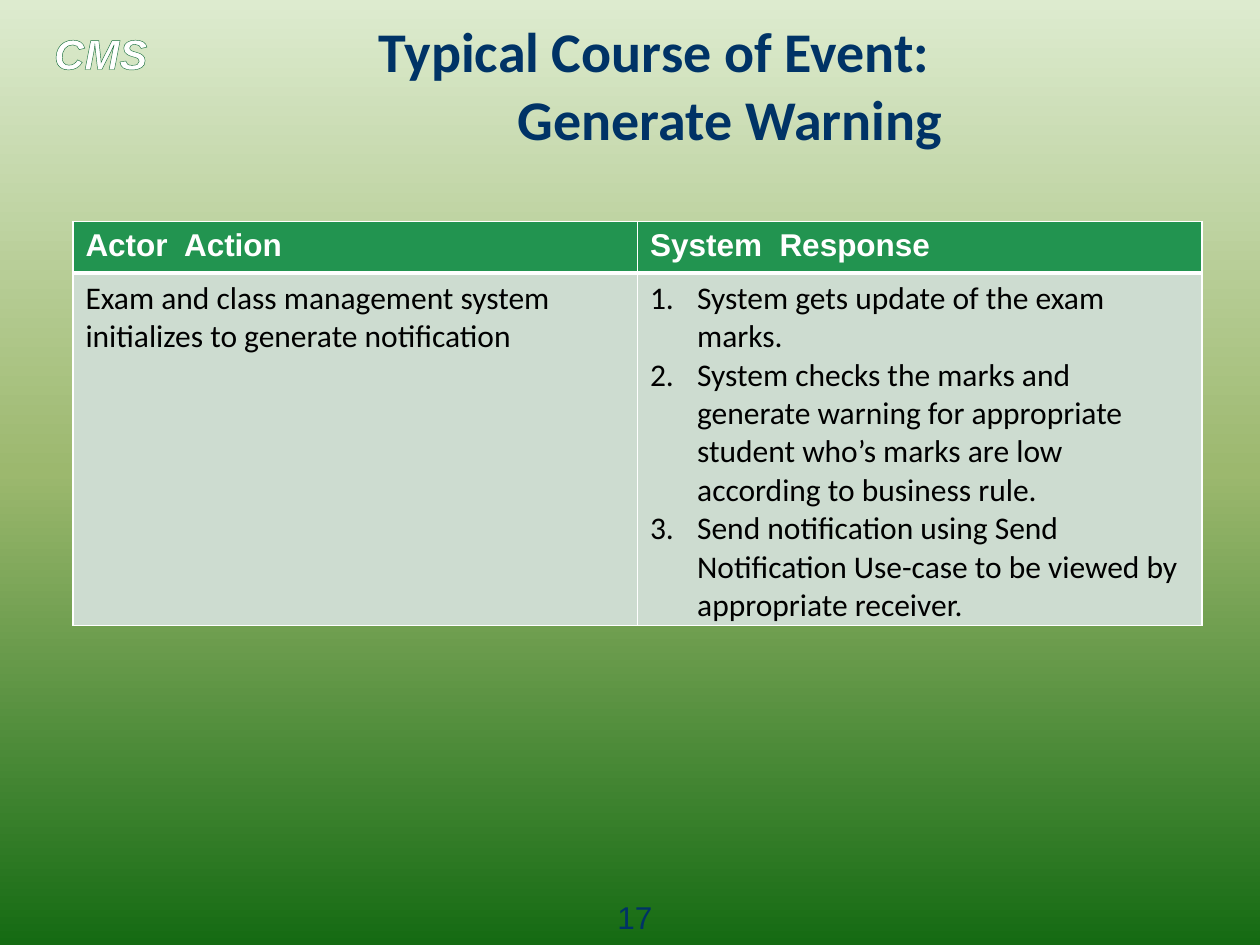
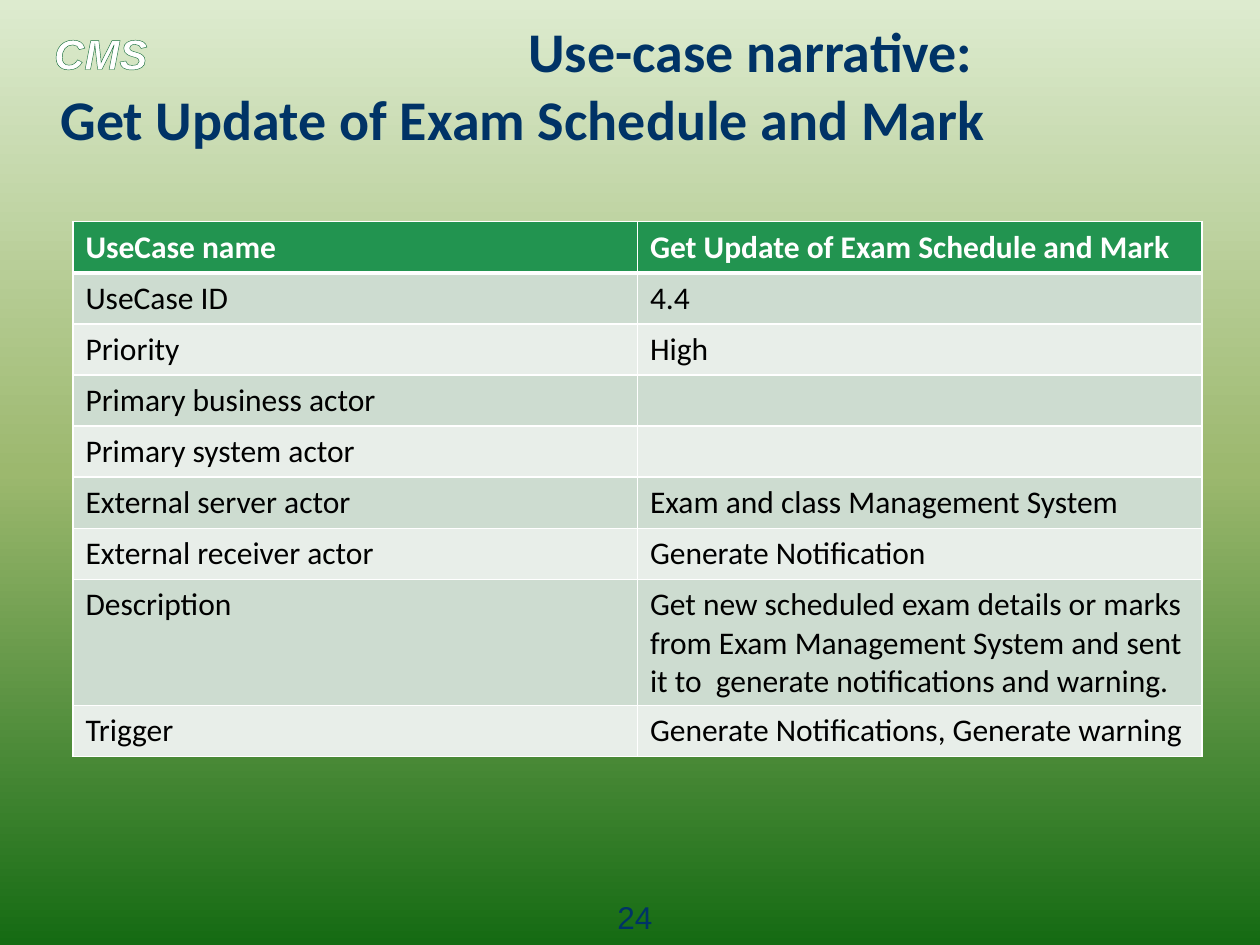
"""Build two use-case slides of a class management system deck."""
from copy import deepcopy
from dataclasses import dataclass

from lxml import etree
from pptx import Presentation
from pptx import util as u
from pptx.dml.color import RGBColor
from pptx.enum import text
from pptx.oxml import ns

COLOURS = {
    "sky": "DDEBCF", "moss": "9CB86E", "forest": "156B13",
    "navy": "003366", "white": "FFFFFF", "black": "000000",
    "outline": "196F3C", "header": "229450",
    "odd": "CDDCD0", "even": "E8EEE9",
}
ROW_HEIGHT = u.Cm(1.03)
COLUMN_WIDTH = u.Cm(11.38)
NUMBER_INDENT = u.Cm(0.95)


@dataclass
class Style:
    size: int
    colour: str
    font: str = "Calibri"
    bold: bool = False
    italic: bool = False


@dataclass
class Box:
    left: float
    top: float
    width: float
    height: float


@dataclass
class UseCase:
    title: str
    title_box: Box
    header_font: str
    rows: list[tuple[str, str | list[str]]]
    table_height: float
    page: int


BRAND = Style(24, "white", "Arial", bold=True, italic=True)
TITLE = Style(32, "navy", bold=True)
PAGE = Style(18, "navy", "Arial")
BODY = Style(18, "black")

USE_CASES = [
    UseCase(
        "Typical Course of Event: \vGenerate Warning",
        Box(1.47, 1.7, 17.78, 1.35),
        "Arial",
        [
            ("Actor  Action", "System  Response"),
            ("Exam and class management system initializes to generate notification", [
                "System gets update of the exam marks.",
                "System checks the marks and generate warning for appropriate "
                "student who’s marks are low according to business rule.",
                "Send notification using Send Notification Use-case to be viewed "
                "by appropriate receiver.",
            ]),
        ],
        8.15,
        17,
    ),
    UseCase(
        "Use-case narrative: \vGet Update of Exam Schedule and Mark",
        Box(0.43, 1.7, 19.69, 1.35),
        "Calibri",
        [
            ("UseCase name", "Get Update of Exam Schedule and Mark"),
            ("UseCase ID", "4.4"),
            ("Priority", "High"),
            ("Primary business actor", ""),
            ("Primary system actor", ""),
            ("External server actor", "Exam and class Management System"),
            ("External receiver actor", "Generate Notification"),
            ("Description",
             "Get new scheduled exam details or marks from Exam Management System "
             "and sent it to  generate notifications and warning."),
            ("Trigger", "Generate Notifications, Generate warning"),
        ],
        10.77,
        24,
    ),
]


def rgb(name: str) -> RGBColor:
    return RGBColor.from_string(COLOURS[name])


def apply_style(paragraph, style: Style) -> None:
    font = paragraph.font
    font.name, font.size = style.font, u.Pt(style.size)
    font.bold, font.italic = style.bold, style.italic
    font.color.rgb = rgb(style.colour)


def make_line(tag: str, colour: str, points: float):
    line = etree.Element(ns.qn(tag), w=str(u.Pt(points)))
    fill = etree.SubElement(line, ns.qn("a:solidFill"))
    etree.SubElement(fill, ns.qn("a:srgbClr"), val=COLOURS[colour])
    return line


def add_label(slide, box: Box, words: str, style: Style, align: text.PP_ALIGN):
    label = slide.shapes.add_textbox(
        u.Cm(box.left), u.Cm(box.top), u.Cm(box.width), u.Cm(box.height))
    label.text_frame.word_wrap = True
    paragraph = label.text_frame.paragraphs[0]
    paragraph.text = words
    paragraph.alignment = align
    apply_style(paragraph, style)
    return label.text_frame


def paint_background(slide) -> None:
    fill = slide.background.fill
    fill.gradient()
    fill.gradient_angle = 270
    stop_list = slide.element.find(f".//{ns.qn('a:gsLst')}")
    stop_list.insert(1, deepcopy(stop_list[0]))
    for stop, position, name in zip(
            fill.gradient_stops, (0, 0.5, 1), ("sky", "moss", "forest")):
        stop.position = position
        stop.color.rgb = rgb(name)


def add_brand(slide) -> None:
    brand = add_label(slide, Box(0.84, 0.43, 3.81, 1.27), "CMS", BRAND,
                      text.PP_ALIGN.LEFT)
    brand.auto_size = text.MSO_AUTO_SIZE.SHAPE_TO_FIT_TEXT
    properties = brand.paragraphs[0].runs[0].font._element
    properties.insert(0, make_line("a:ln", "outline", 1))


def number_paragraph(paragraph) -> None:
    properties = paragraph._p.get_or_add_pPr()
    properties.set("marL", str(NUMBER_INDENT))
    properties.set("indent", str(-NUMBER_INDENT))
    numbering = etree.Element(ns.qn("a:buAutoNum"), type="arabicPeriod")
    properties.insert(0, numbering)


def fill_cell(cell, content: str | list[str], style: Style, row: int) -> None:
    numbered = isinstance(content, list)
    cell.text = "\n".join(content) if numbered else content
    for paragraph in cell.text_frame.paragraphs:
        apply_style(paragraph, style)
        if numbered:
            number_paragraph(paragraph)
    top, bottom = (3 if row == 1 else 1), (3 if row == 0 else 1)
    properties = cell._tc.get_or_add_tcPr()
    for side, points in zip("LRTB", (1, 1, top, bottom)):
        properties.append(make_line(f"a:ln{side}", "white", points))
    cell.fill.solid()
    shade = "header" if row == 0 else "odd" if row % 2 else "even"
    cell.fill.fore_color.rgb = rgb(shade)


def add_narrative(slide, case: UseCase) -> None:
    frame = slide.shapes.add_table(
        len(case.rows), 2, u.Cm(1.47), u.Cm(4.47),
        2 * COLUMN_WIDTH, u.Cm(case.table_height))
    header = Style(18, "white", case.header_font, bold=True)
    for column in frame.table.columns:
        column.width = COLUMN_WIDTH
    for index, contents in enumerate(case.rows):
        row = frame.table.rows[index]
        row.height = ROW_HEIGHT
        for cell, content in zip(row.cells, contents):
            fill_cell(cell, content, BODY if index else header, index)
    frame.height = u.Cm(case.table_height)


def add_use_case(deck, case: UseCase) -> None:
    slide = deck.slides.add_slide(deck.slide_layouts[6])
    paint_background(slide)
    add_brand(slide)
    title = add_label(slide, case.title_box, case.title, TITLE,
                      text.PP_ALIGN.RIGHT)
    title.vertical_anchor = text.MSO_ANCHOR.BOTTOM
    title.margin_top = title.margin_bottom = 0
    add_narrative(slide, case)
    add_label(slide, Box(11.63, 17.98, 2.34, 0.74), str(case.page), PAGE,
              text.PP_ALIGN.CENTER)


def main() -> None:
    deck = Presentation()
    deck.slide_width, deck.slide_height = u.Cm(25.4), u.Cm(19.05)
    for case in USE_CASES:
        add_use_case(deck, case)
    deck.save("out.pptx")


if __name__ == "__main__":
    main()
